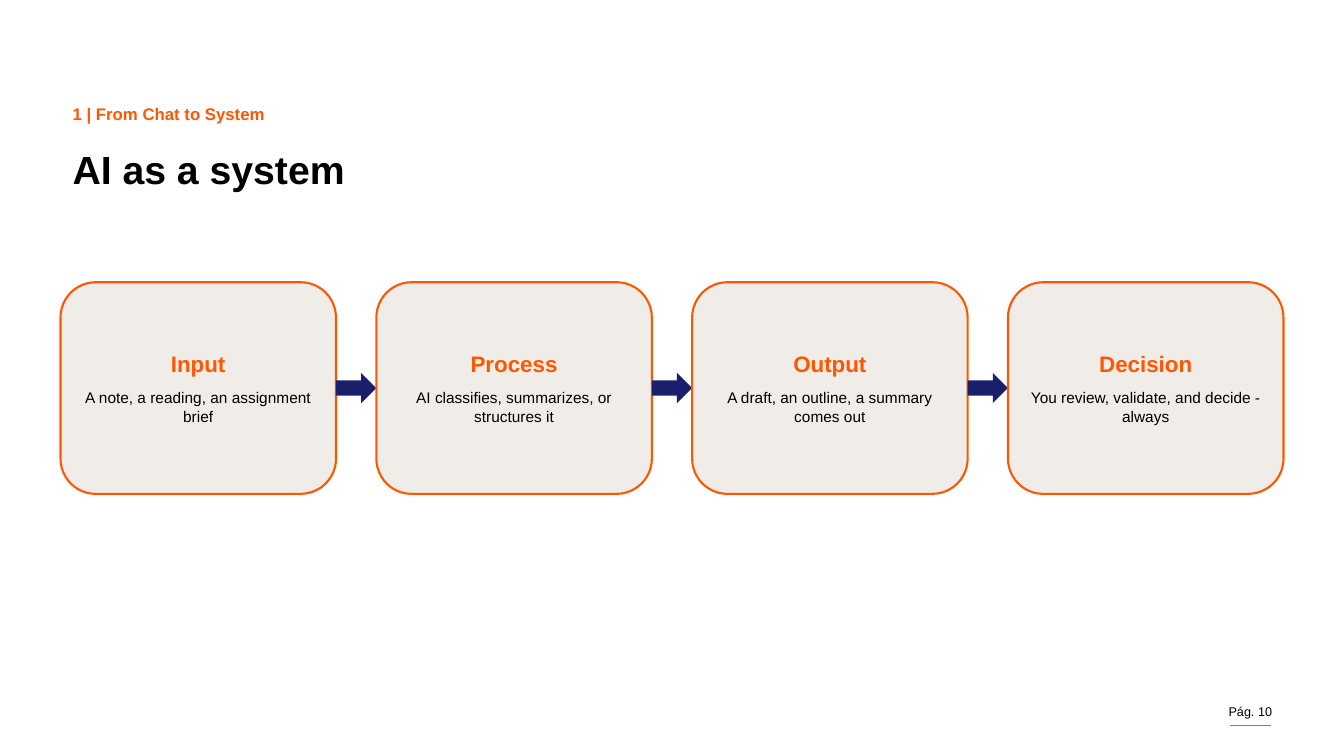
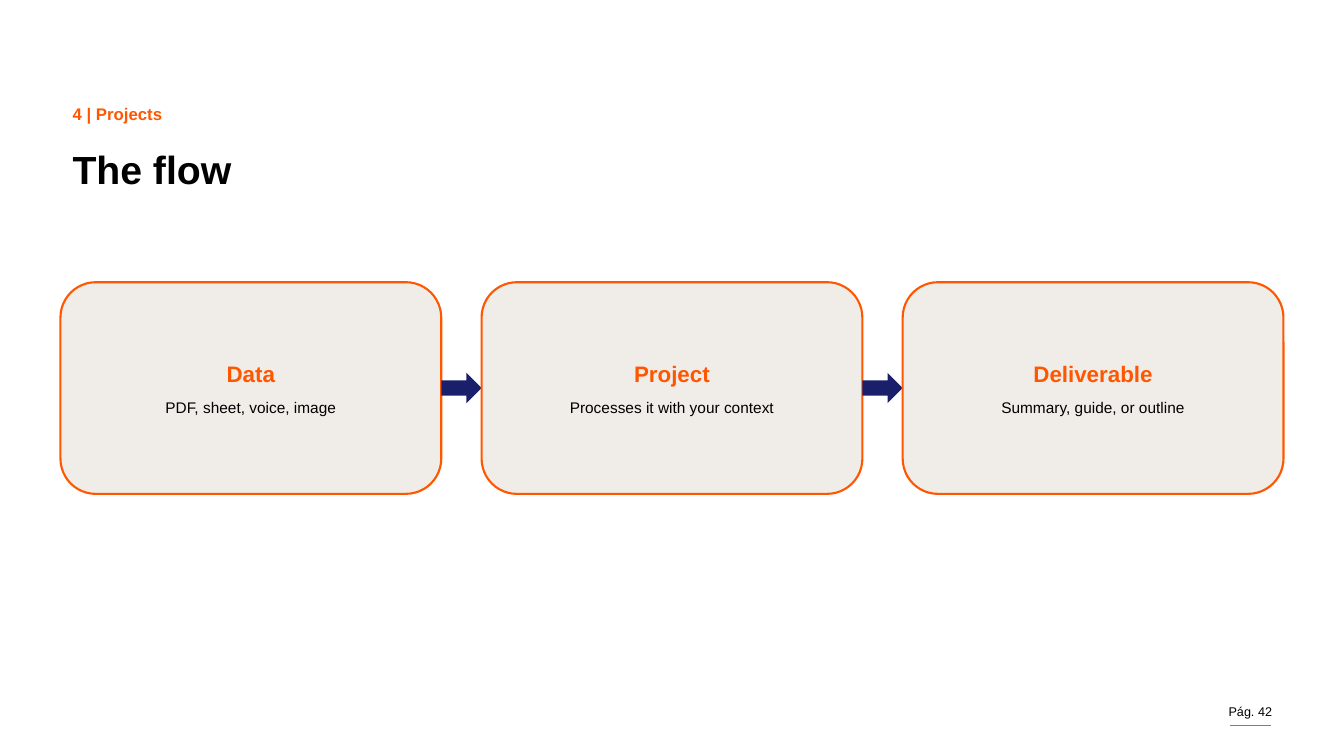
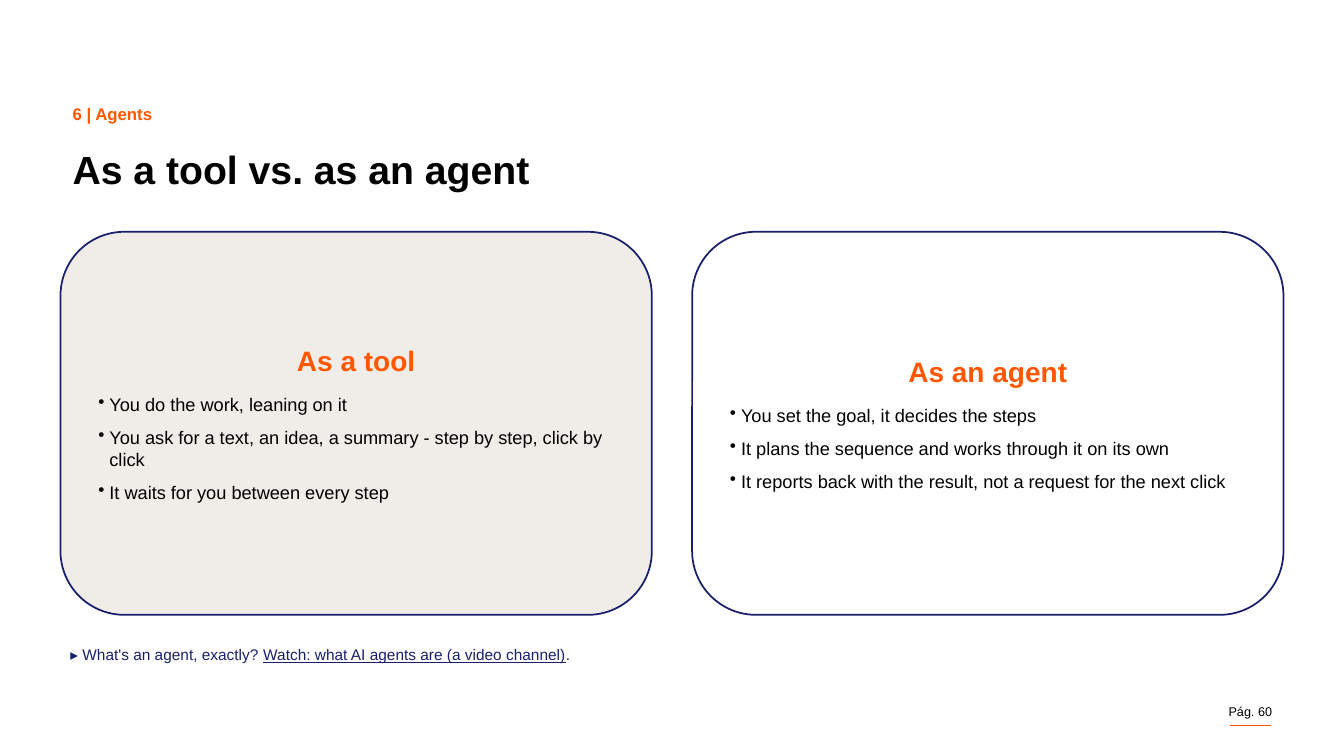
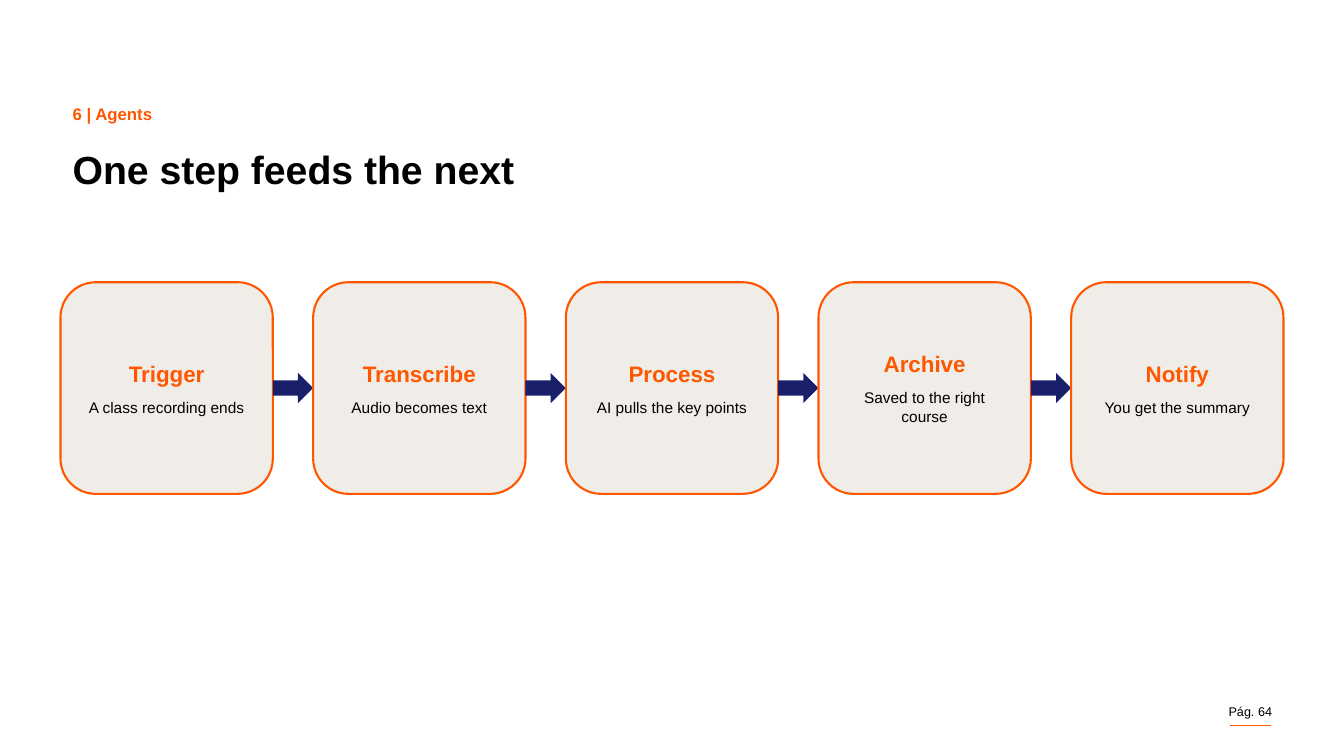
import dataclasses

import lxml.etree
import pptx
import pptx.dml.color
import pptx.enum.shapes
import pptx.enum.text
import pptx.oxml.ns
import pptx.util

SHAPE = pptx.enum.shapes.MSO_SHAPE
ALIGN = pptx.enum.text.PP_ALIGN
ANCHOR = pptx.enum.text.MSO_ANCHOR
GRID_COLUMNS, GRID_ROWS = 400, 225
GRID_UNIT = pptx.util.Inches(7.5) // GRID_ROWS


@dataclasses.dataclass(frozen=True)
class Theme:
    font: str = "Arial"
    orange: str = "FF5700"
    navy: str = "1A1F6C"
    sand: str = "F0ECE8"
    white: str = "FFFFFF"
    black: str = "000000"
    title_size: int = 28
    panel_heading_size: int = 20
    step_heading_size: int = 16
    bullet_size: int = 13
    kicker_size: int = 12
    body_size: int = 11
    page_size: int = 9
    step_line: float = 1.5
    panel_line: float = 1.25
    page_line: float = 0.5


@dataclasses.dataclass(frozen=True)
class Box:
    left: float
    top: float
    width: float
    height: float

    def lengths(self):
        return [grid(value) for value in dataclasses.astuple(self)]

    def split(self, count, gap):
        width = (self.width - gap * (count - 1)) / count
        return [
            Box(self.left + index * (width + gap), self.top, width, self.height)
            for index in range(count)
        ]


THEME = Theme()
GAP = 12
STEP_BAND = Box(18, 84, 364, 63)
PANEL_BAND = Box(18, 69, 364, 114)
NOTE_BOX = Box(18, 190.5, 364, 12)
TITLE_BOX = Box(21.6, 44.7, 356.7, 12.6)
KICKER_BOX = Box(21.6, 30.9, 57.6, 6.6)
PAGE_BOX = Box(355.5, 209.4, 23.1, 4.5)
PAGE_RULE = Box(366, 216, 12.3, 0)


def grid(units):
    return pptx.util.Emu(round(units * GRID_UNIT))


def color(value):
    return pptx.dml.color.RGBColor.from_string(value)


def set_attributes(target, values):
    for name, value in values.items():
        setattr(target, name, value)


def set_frame(frame, margin=None, anchor=ANCHOR.TOP):
    values = {
        "word_wrap": True,
        "auto_size": pptx.enum.text.MSO_AUTO_SIZE.NONE,
        "vertical_anchor": anchor,
    }
    if margin is not None:
        for side in ("left", "top", "right", "bottom"):
            values[f"margin_{side}"] = grid(margin)
    set_attributes(frame, values)


def add_bullet(paragraph):
    properties = paragraph._p.get_or_add_pPr()
    hang = grid(3.3)
    properties.set("marL", str(hang))
    properties.set("indent", str(-hang))
    bullet = lxml.etree.SubElement(properties, pptx.oxml.ns.qn("a:buChar"))
    bullet.set("char", "•")


def add_text(frame, text, size, fill, bold=False, bullet=False, underlined="", **layout):
    paragraph = frame.paragraphs[0]
    if paragraph.runs:
        paragraph = frame.add_paragraph()
    if bullet:
        add_bullet(paragraph)
    set_attributes(paragraph, {"alignment": ALIGN.LEFT, **layout})
    before, link, after = text.partition(underlined) if underlined else (text, "", "")
    for part, underline in ((before, False), (link, True), (after, False)):
        if part:
            run = paragraph.add_run()
            run.text = part
            set_attributes(run.font, {
                "name": THEME.font,
                "size": pptx.util.Pt(size),
                "bold": bold,
                "underline": underline,
            })
            run.font.color.rgb = color(fill)


def add_block(slide, kind, box, fill, line=None, line_width=0):
    shape = slide.shapes.add_shape(kind, *box.lengths())
    shape.shadow.inherit = False
    shape.fill.solid()
    shape.fill.fore_color.rgb = color(fill)
    if line:
        shape.line.color.rgb = color(line)
        shape.line.width = pptx.util.Pt(line_width)
    else:
        shape.line.fill.background()
    return shape


def add_text_box(slide, box, margin=None):
    frame = slide.shapes.add_textbox(*box.lengths()).text_frame
    set_frame(frame, margin)
    return frame


def add_footer(slide, page):
    left, top, width, height = PAGE_RULE.lengths()
    rule = slide.shapes.add_connector(
        pptx.enum.shapes.MSO_CONNECTOR.STRAIGHT, left, top, left + width, top + height
    )
    rule.line.color.rgb = color(THEME.orange)
    rule.line.width = pptx.util.Pt(THEME.page_line)
    lxml.etree.SubElement(rule._element.spPr, pptx.oxml.ns.qn("a:effectLst"))
    frame = add_text_box(slide, PAGE_BOX, 0)
    add_text(frame, f"Pág. {page}", THEME.page_size, THEME.black, alignment=ALIGN.RIGHT)


def add_titled_slide(presentation, page, kicker, title):
    slide = presentation.slides.add_slide(presentation.slide_layouts[5])
    add_footer(slide, page)
    placeholder = slide.shapes.title
    set_attributes(
        placeholder, dict(zip(("left", "top", "width", "height"), TITLE_BOX.lengths()))
    )
    set_frame(placeholder.text_frame, 0)
    add_text(
        placeholder.text_frame, title, THEME.title_size, THEME.black,
        bold=True, line_spacing=0.9,
    )
    frame = add_text_box(slide, KICKER_BOX, 0)
    add_text(frame, kicker, THEME.kicker_size, THEME.orange, bold=True)
    return slide


def add_step(slide, box, heading, detail):
    card = add_block(
        slide, SHAPE.ROUNDED_RECTANGLE, box, THEME.sand, THEME.orange, THEME.step_line
    )
    set_frame(card.text_frame, 3.3, ANCHOR.MIDDLE)
    add_text(
        card.text_frame, heading, THEME.step_heading_size, THEME.orange,
        bold=True, alignment=ALIGN.CENTER, space_after=pptx.util.Pt(8),
    )
    add_text(
        card.text_frame, detail, THEME.body_size, THEME.black, alignment=ALIGN.CENTER
    )


def add_flow(slide, band, steps):
    boxes = band.split(len(steps), GAP)
    arrow_height = band.height / 7
    for index, (box, step) in enumerate(zip(boxes, steps)):
        if index:
            arrow = Box(
                box.left - GAP, box.top + (box.height - arrow_height) / 2, GAP, arrow_height
            )
            add_block(slide, SHAPE.RIGHT_ARROW, arrow, THEME.navy)
        add_step(slide, box, *step)


def add_panel(slide, box, fill, heading, points):
    panel = add_block(
        slide, SHAPE.ROUNDED_RECTANGLE, box, fill, THEME.navy, THEME.panel_line
    )
    set_frame(panel.text_frame, 5.7, ANCHOR.MIDDLE)
    add_text(
        panel.text_frame, heading, THEME.panel_heading_size, THEME.orange,
        bold=True, alignment=ALIGN.CENTER, space_after=pptx.util.Pt(12),
    )
    for point in points:
        add_text(
            panel.text_frame, point, THEME.bullet_size, THEME.black,
            bullet=True, space_after=pptx.util.Pt(8),
        )


def add_comparison(slide, band, panels):
    boxes = band.split(len(panels), GAP)
    for box, fill, panel in zip(boxes, (THEME.sand, THEME.white), panels):
        add_panel(slide, box, fill, *panel)


def add_note(slide, box, text, underlined):
    frame = add_text_box(slide, box)
    add_text(frame, text, THEME.body_size, THEME.navy, underlined=underlined)


def main():
    presentation = pptx.Presentation()
    presentation.slide_width = grid(GRID_COLUMNS)
    presentation.slide_height = grid(GRID_ROWS)

    slide = add_titled_slide(presentation, 10, "1 | From Chat to System", "AI as a system")
    add_flow(slide, STEP_BAND, [
        ("Input", "A note, a reading, an assignment brief"),
        ("Process", "AI classifies, summarizes, or structures it"),
        ("Output", "A draft, an outline, a summary comes out"),
        ("Decision", "You review, validate, and decide - always"),
    ])

    slide = add_titled_slide(presentation, 42, "4 | Projects", "The flow")
    add_flow(slide, STEP_BAND, [
        ("Data", "PDF, sheet, voice, image"),
        ("Project", "Processes it with your context"),
        ("Deliverable", "Summary, guide, or outline"),
    ])

    slide = add_titled_slide(presentation, 60, "6 | Agents", "As a tool vs. as an agent")
    add_comparison(slide, PANEL_BAND, [
        ("As a tool", [
            "You do the work, leaning on it",
            "You ask for a text, an idea, a summary - step by step, click by click",
            "It waits for you between every step",
        ]),
        ("As an agent", [
            "You set the goal, it decides the steps",
            "It plans the sequence and works through it on its own",
            "It reports back with the result, not a request for the next click",
        ]),
    ])
    add_note(
        slide, NOTE_BOX,
        "▸ What's an agent, exactly? Watch: what AI agents are (a video channel).",
        "Watch: what AI agents are (a video channel)",
    )

    slide = add_titled_slide(presentation, 64, "6 | Agents", "One step feeds the next")
    add_flow(slide, STEP_BAND, [
        ("Trigger", "A class recording ends"),
        ("Transcribe", "Audio becomes text"),
        ("Process", "AI pulls the key points"),
        ("Archive", "Saved to the right course"),
        ("Notify", "You get the summary"),
    ])

    presentation.save("out.pptx")


if __name__ == "__main__":
    main()
